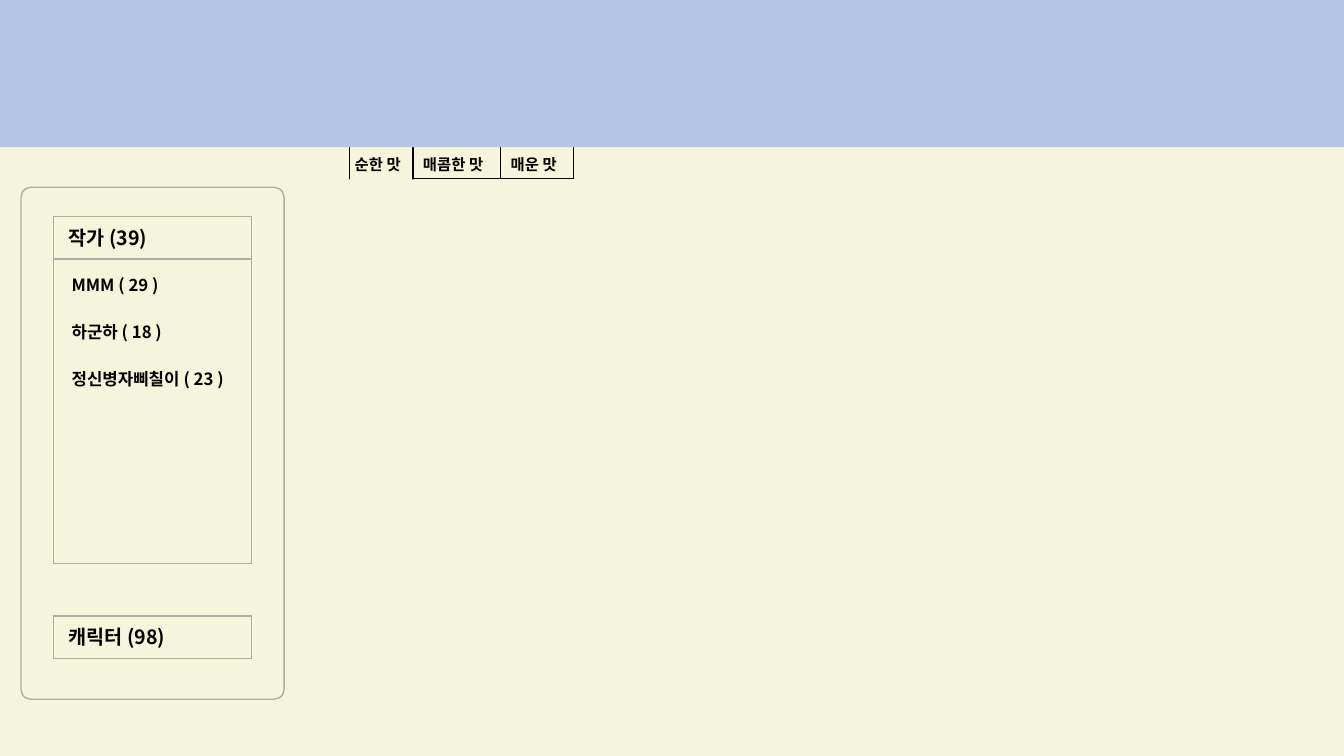
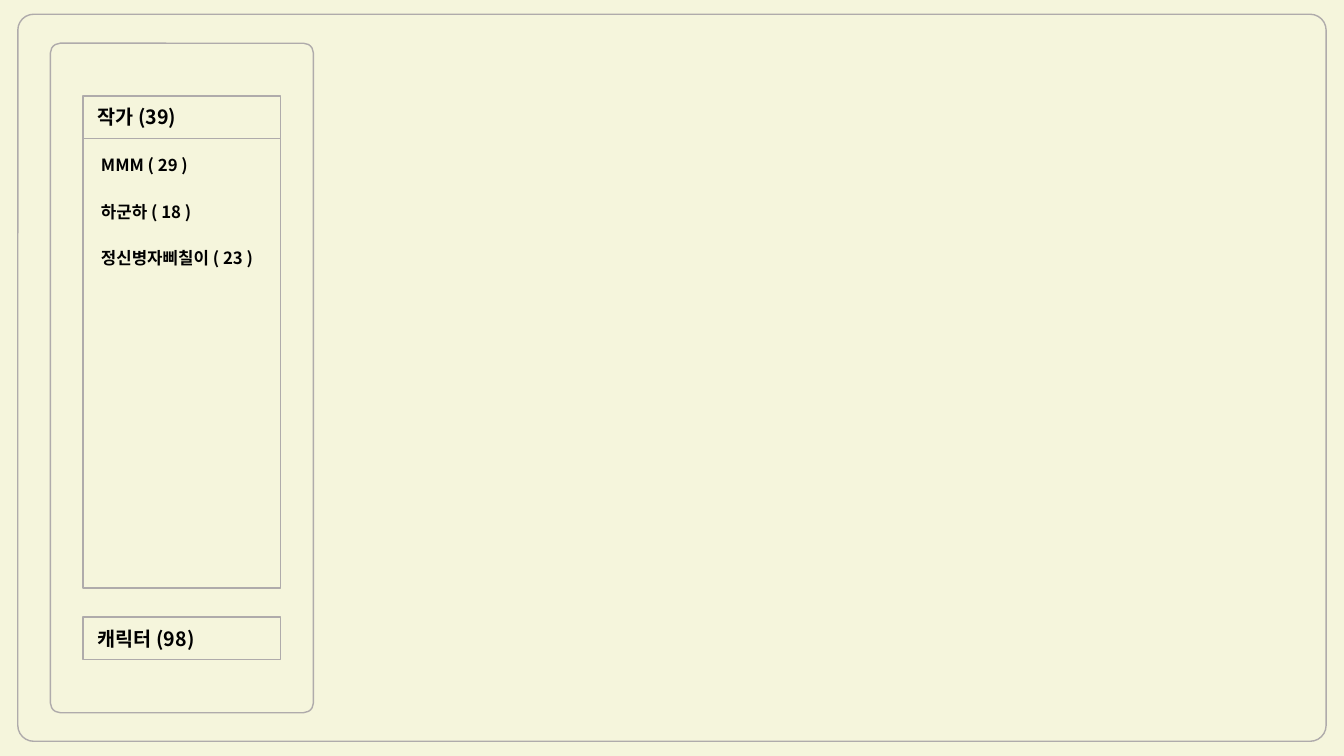
from lxml.etree import SubElement
from pptx import Presentation
from pptx.dml.color import RGBColor
from pptx.enum.shapes import MSO_SHAPE
from pptx.enum.text import MSO_ANCHOR, PP_ALIGN
from pptx.oxml.ns import qn
from pptx.util import Cm, Pt

CREAM = RGBColor(0xF5, 0xF5, 0xDC)
GREY = RGBColor(0xAF, 0xAB, 0xAB)
BLUE = RGBColor(0xB4, 0xC7, 0xE7)
BLACK = RGBColor(0, 0, 0)
FONT = "Noto Sans CJK KR"

SLIDE_WIDTH, SLIDE_HEIGHT = 33.87, 19.05
BAND_HEIGHT = 3.71
HEADER_WIDTH, HEADER_HEIGHT = 4.98, 1.07
AUTHORS = ["MMM ( 29 )", "하군하 ( 18 )", "정신병자삐칠이 ( 23 )"]
TABS = [("순한 맛", 1.6, 0.13), ("매콤한 맛", 2.21, 0.25), ("매운 맛", 1.83, 0.25)]


def add_box(slide, left, top, width, height, fill=CREAM, line=None, radius=None):
    """Draw a rectangle, rounded if a radius in cm is given."""
    preset = MSO_SHAPE.ROUNDED_RECTANGLE if radius else MSO_SHAPE.RECTANGLE
    box = slide.shapes.add_shape(preset, Cm(left), Cm(top), Cm(width), Cm(height))
    if radius:
        box.adjustments[0] = radius / min(width, height)
    box.shadow.inherit = False
    box.fill.solid()
    box.fill.fore_color.rgb = fill
    if line is None:
        box.line.fill.background()
    else:
        box.line.color.rgb = line
        box.line.width = Pt(1)
    return box


def set_label(shape, label, size, anchor, inset=0.25, bottom=0.13):
    frame = shape.text_frame
    frame.text = label
    frame.vertical_anchor = anchor
    frame.margin_left, frame.margin_right = Cm(inset), Cm(0)
    frame.margin_bottom = Cm(bottom)
    frame.word_wrap = True
    paragraph = frame.paragraphs[0]
    paragraph.alignment = PP_ALIGN.LEFT
    for run in paragraph.runs:
        run.font.size = Pt(size)
        run.font.bold = True
        run.font.color.rgb = BLACK
        run.font.name = FONT
        SubElement(run.font._element, qn("a:ea"), typeface=FONT)


def add_header(slide, left, top, label):
    header = add_box(slide, left, top, HEADER_WIDTH, HEADER_HEIGHT, line=GREY)
    set_label(header, label, 14, MSO_ANCHOR.MIDDLE, inset=0.37)


def add_sidebar(slide, left, top, height, padding_top, padding_bottom, list_height):
    """Draw the filter panel: author list at its top, character header at its foot."""
    width = 6.63
    add_box(slide, left, top, width, height, line=GREY, radius=0.25)
    inner_left = left + (width - HEADER_WIDTH) / 2
    header_top = top + padding_top
    list_top = header_top + HEADER_HEIGHT
    add_box(slide, inner_left, list_top, HEADER_WIDTH, list_height, line=GREY)
    add_header(slide, inner_left, header_top, "작가 (39)")
    add_header(slide, inner_left, top + height - padding_bottom - HEADER_HEIGHT,
               "캐릭터 (98)")
    for row, author in enumerate(AUTHORS):
        entry = slide.shapes.add_textbox(
            Cm(inner_left + 0.2), Cm(list_top + 0.28 + row * 1.18),
            Cm(HEADER_WIDTH - 0.2), Cm(0.77))
        set_label(entry, author, 12, MSO_ANCHOR.TOP)


def add_tabs(slide, left, top, height):
    """Draw the tabs; the first is selected, so it is open at the bottom."""
    overhang = 0.25
    for index, (label, width, inset) in enumerate(TABS):
        extra = overhang if index == 0 else 0
        tab = add_box(slide, left, top, width, height + extra, line=BLACK)
        set_label(tab, label, 11, MSO_ANCHOR.BOTTOM, inset, 0.13 + extra)
        if index == 0:
            add_box(slide, left - 0.05, top + height + 0.02, width + 0.17, 2 * overhang)
        left += width


def add_page(prs):
    slide = prs.slides.add_slide(prs.slide_layouts[6])
    slide.background.fill.solid()
    slide.background.fill.fore_color.rgb = CREAM
    return slide


def build_tabbed_page(prs):
    slide = add_page(prs)
    add_sidebar(slide, 0.53, 4.72, 12.9, padding_top=0.74, padding_bottom=1.03,
                list_height=7.67)
    add_tabs(slide, 8.81, 2.84, 1.66)
    add_box(slide, 0, 0, SLIDE_WIDTH, BAND_HEIGHT, fill=BLUE)


def build_framed_page(prs):
    slide = add_page(prs)
    add_box(slide, 0.45, 0.36, 32.97, 18.32, line=GREY, radius=0.4)
    add_sidebar(slide, 1.27, 1.09, 16.87, padding_top=1.33, padding_bottom=1.34,
                list_height=11.33)


def main():
    prs = Presentation()
    prs.slide_width, prs.slide_height = Cm(SLIDE_WIDTH), Cm(SLIDE_HEIGHT)
    build_tabbed_page(prs)
    build_framed_page(prs)
    prs.save("out.pptx")


if __name__ == "__main__":
    main()
